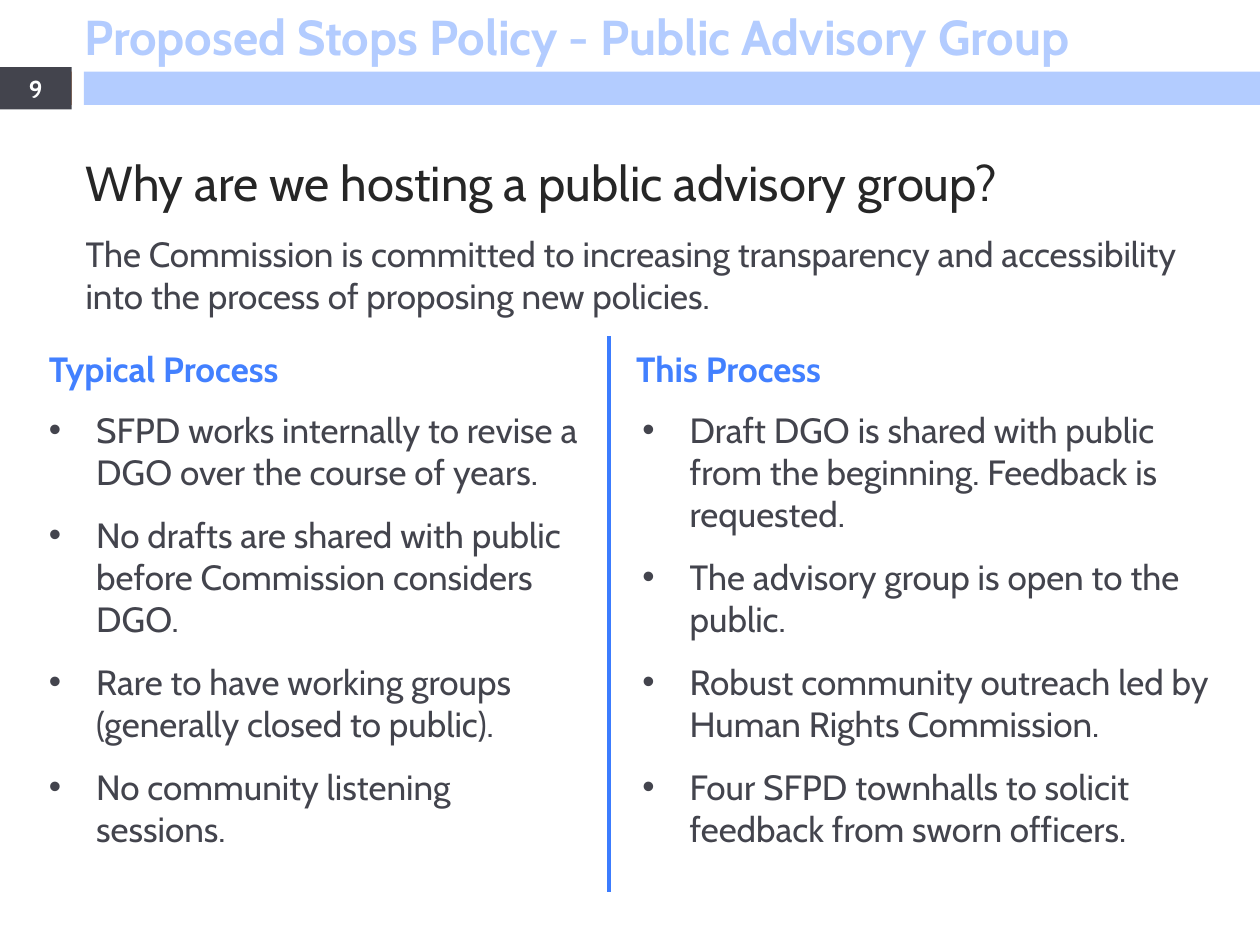
from pptx import Presentation
from pptx.dml.color import RGBColor
from pptx.enum.shapes import MSO_CONNECTOR as Connector, MSO_SHAPE as Shape
from pptx.enum.text import MSO_ANCHOR as Anchor, MSO_AUTO_SIZE as AutoSize, PP_ALIGN as Align
from pptx.oxml.ns import qn
from pptx.util import Pt
from lxml.etree import SubElement

PALE_BLUE = RGBColor(0xB3, 0xCC, 0xFF)
HEADING_BLUE = RGBColor(0x42, 0x80, 0xFF)
DIVIDER_BLUE = RGBColor(0x3C, 0x7C, 0xFE)
ORANGE = RGBColor(0xCA, 0x67, 0x20)
SLATE = RGBColor(0x43, 0x44, 0x4D)
INK = RGBColor(0x26, 0x26, 0x26)
WHITE = RGBColor(0xFF, 0xFF, 0xFF)

FONT = "Cabin"
BULLET_INDENT = Pt(27)

TYPICAL_STEPS = [
    "SFPD works internally to revise a DGO over the course of years.",
    "No drafts are shared with public before Commission considers DGO.",
    "Rare to have working groups (generally closed to public).",
    "No community listening sessions.",
]
ADVISORY_STEPS = [
    "Draft DGO is shared with public from the beginning. Feedback is requested.",
    "The advisory group is open to the public.",
    "Robust community outreach led by Human Rights Commission.",
    "Four SFPD townhalls to solicit feedback from sworn officers.",
]


def style(paragraph, size, color, bold=False):
    font = paragraph.font
    font.name, font.size, font.bold = FONT, Pt(size), bold
    font.color.rgb = color


def add_bar(slide, left, top, width, height, color):
    bar = slide.shapes.add_shape(Shape.RECTANGLE, Pt(left), Pt(top), Pt(width), Pt(height))
    bar.shadow.inherit = False
    bar.fill.solid()
    bar.fill.fore_color.rgb = color
    bar.line.fill.background()
    return bar


def add_text(slide, left, top, width, height, lines, size, color, bold=False):
    box = slide.shapes.add_textbox(Pt(left), Pt(top), Pt(width), Pt(height))
    frame = box.text_frame
    frame.word_wrap = True
    frame.text = "\n".join(lines)
    for paragraph in frame.paragraphs:
        style(paragraph, size, color, bold)
    return frame


def add_bullet(paragraph):
    properties = paragraph._p.get_or_add_pPr()
    properties.set("marL", str(BULLET_INDENT))
    properties.set("indent", str(-BULLET_INDENT))
    paragraph.space_after = Pt(12)
    SubElement(properties, qn("a:buFont"), typeface="Arial")
    SubElement(properties, qn("a:buChar"), char="•")


def add_header(slide, left, top, width, number):
    # Title above the band
    title = slide.shapes.title
    title.left, title.top = Pt(left + 41), Pt(top)
    title.width, title.height = Pt(643), Pt(41)
    frame = title.text_frame
    frame.text = "Proposed Stops Policy - Public Advisory Group"
    frame.word_wrap = True
    frame.auto_size = AutoSize.NONE
    frame.vertical_anchor = Anchor.TOP
    frame.paragraphs[0].alignment = Align.LEFT
    style(frame.paragraphs[0], 28, PALE_BLUE, bold=True)

    # Band and page number
    add_bar(slide, left + 48, top + 41, width - 48, 19, PALE_BLUE)
    add_bar(slide, left, top + 41, 41, 19, ORANGE)
    tab = add_bar(slide, left, top + 38.4, 41, 24.2, SLATE).text_frame
    tab.text = number
    tab.vertical_anchor = Anchor.MIDDLE
    tab.paragraphs[0].alignment = Align.CENTER
    style(tab.paragraphs[0], 14, WHITE, bold=True)


def add_introduction(slide, left, top, width):
    add_text(slide, left, top, width, 41,
             ["Why are we hosting a public advisory group?"], 28, INK)
    add_text(slide, left, top + 46, width, 55.5,
             ["The Commission is committed to increasing transparency and "
              "accessibility into the process of proposing new policies."], 20, SLATE)


def add_process(slide, left, top, width, heading, steps, list_shift=0):
    add_text(slide, left, top, width, 31.5, [heading], 20, HEADING_BLUE, bold=True)
    step_list = add_text(slide, left + list_shift, top + 34.5, width, 262, [], 20, SLATE)
    for index, step in enumerate(steps):
        paragraph = step_list.add_paragraph() if index else step_list.paragraphs[0]
        paragraph.text = step
        add_bullet(paragraph)
        style(paragraph, 20, SLATE)


def add_divider(slide, x, top, height):
    divider = slide.shapes.add_connector(
        Connector.STRAIGHT, Pt(x), Pt(top), Pt(x), Pt(top + height))
    divider.line.color.rgb = DIVIDER_BLUE
    divider.line.width = Pt(2.25)
    SubElement(divider._element.spPr, qn("a:effectLst"))


def main():
    deck = Presentation()
    deck.slide_width, deck.slide_height = Pt(720), Pt(540)
    slide = deck.slides.add_slide(deck.slide_layouts[5])

    add_header(slide, 0, 0, 720, "9")
    add_introduction(slide, 41.8, 83.6, 660)

    # Comparison of the two processes
    add_process(slide, 20.9, 195.2, 321, "Typical Process", TYPICAL_STEPS)
    add_process(slide, 356.4, 195.2, 339, "This Process", ADVISORY_STEPS, list_shift=3.6)
    add_divider(slide, 347.8, 192.2, 317.5)

    deck.save("out.pptx")


if __name__ == "__main__":
    main()
